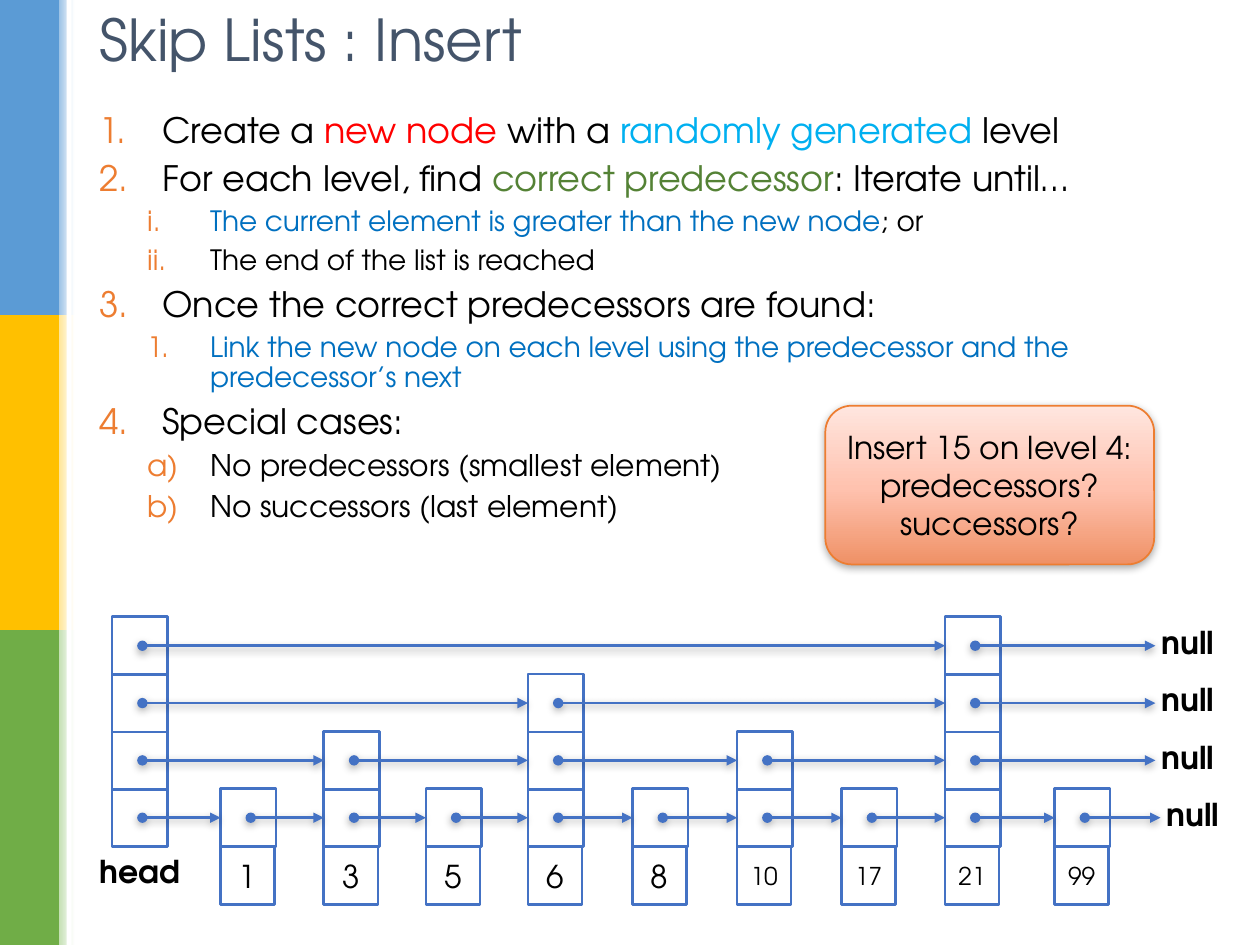
from dataclasses import dataclass

from lxml.etree import SubElement
from pptx import Presentation
from pptx.dml.color import RGBColor
from pptx.enum.shapes import MSO_CONNECTOR, MSO_SHAPE
from pptx.enum.text import MSO_ANCHOR, PP_ALIGN
from pptx.oxml.ns import qn
from pptx.util import Inches, Pt

FONT = "TeX Gyre Adventor"
HEX = {
    "black": "000000", "white": "FFFFFF", "slate": "44546A", "red": "FF0000",
    "sky": "00B0F0", "leaf": "548235", "blue": "0070C0", "line": "4472C4",
    "orange": "ED7D31", "pale": "DEEBF7",
}


@dataclass
class Band:
    top: float
    main: str
    fade: str


@dataclass
class Item:
    runs: list[tuple[str, str]]
    size: int
    style: str
    level: int = 0


@dataclass
class Node:
    key: str
    left: float
    rows: int


BANDS = [Band(5, "70AD47", "C5E0B4"), Band(2.5, "FFC000", "FFE699"), Band(0, "5B9BD5", "9DC3E6")]
ITEMS = [
    Item([("Create a ", "black"), ("new node", "red"), (" with a ", "black"),
          ("randomly generated", "sky"), (" level", "black")], 20, "arabicPeriod"),
    Item([("For each level, find ", "black"), ("correct predecessor", "leaf"),
          (": Iterate until…", "black")], 20, "arabicPeriod"),
    Item([("The current element is greater than the new node", "blue"), ("; or", "black")],
         16, "romanLcPeriod", 1),
    Item([("The end of the list is reached", "black")], 16, "romanLcPeriod", 1),
    Item([("Once the correct predecessors are found:", "black")], 20, "arabicPeriod"),
    Item([("Link the new node on each level using the predecessor and the predecessor’s next",
           "blue")], 16, "arabicPeriod", 1),
    Item([("Special cases:", "black")], 20, "arabicPeriod"),
    Item([("No predecessors (smallest element)", "black")], 17, "alphaLcParenR", 1),
    Item([("No successors (last element)", "black")], 17, "alphaLcParenR", 1),
]
HEAD = Node("head", 0.89, 4)
NODES = [
    Node("1", 1.75, 1), Node("3", 2.57, 2), Node("5", 3.38, 1),
    Node("6", 4.19, 3), Node("8", 5.02, 1), Node("10", 5.85, 2),
    Node("17", 6.68, 1), Node("21", 7.5, 4), Node("99", 8.37, 1),
]
WIDE, HIGH, STEP, BASE = 0.44, 0.46, 0.455, 6.26
DOT = 0.24


def paint(run, size: int, color: str, bold: bool = False) -> None:
    run.font.name = FONT
    run.font.size = Pt(size)
    run.font.bold = bold
    run.font.color.rgb = RGBColor.from_string(HEX[color])


def add_box(slide, area: tuple, fill: str, line: str | None = None,
            kind=MSO_SHAPE.RECTANGLE, width: float = 1.5):
    box = slide.shapes.add_shape(kind, *map(Inches, area))
    box.shadow.inherit = False
    box.fill.solid()
    box.fill.fore_color.rgb = RGBColor.from_string(fill)
    if line:
        box.line.color.rgb = RGBColor.from_string(line)
        box.line.width = Pt(width)
    else:
        box.line.fill.background()
    return box


def blend(box, stops: list[tuple[int, str]], angle: int) -> None:
    box.fill.gradient()
    box.fill.gradient_angle = angle
    group = box.element.spPr.find(qn("a:gradFill")).find(qn("a:gsLst"))
    for old in list(group):
        group.remove(old)
    for place, color in stops:
        stop = SubElement(group, qn("a:gs"), pos=str(place * 1000))
        SubElement(stop, qn("a:srgbClr"), val=color)


def add_shade(effects) -> None:
    shade = SubElement(effects, qn("a:outerShdw"), blurRad="57150", dist="19050",
                       dir="5400000", algn="ctr", rotWithShape="0")
    color = SubElement(shade, qn("a:srgbClr"), val=HEX["black"])
    SubElement(color, qn("a:alpha"), val="32000")


def add_text(slide, area: tuple, wrap: bool = True):
    frame = slide.shapes.add_textbox(*map(Inches, area)).text_frame
    frame.word_wrap = wrap
    return frame


def center(box, text: str, size: int) -> None:
    frame = box.text_frame
    frame.word_wrap = True
    frame.vertical_anchor = MSO_ANCHOR.MIDDLE
    frame.text = text
    for para in frame.paragraphs:
        para.alignment = PP_ALIGN.CENTER
        paint(para.runs[0], size, "black")


def add_label(slide, text: str, left: float, top: float, width: float) -> None:
    frame = add_text(slide, (left, top, width, 0.4), False)
    frame.text = text
    run = frame.paragraphs[0].runs[0]
    paint(run, 18, "black", True)
    props = run.font._element
    edge = SubElement(props, qn("a:ln"), w=str(Pt(0.75)))
    SubElement(SubElement(edge, qn("a:solidFill")), qn("a:srgbClr"), val=HEX["pale"])
    props.insert(0, edge)


def add_arrow(slide, start: float, end: float, y: float, goal=None) -> None:
    arrow = slide.shapes.add_connector(
        MSO_CONNECTOR.STRAIGHT, Inches(start), Inches(y), Inches(end), Inches(y))
    if goal is not None:
        arrow.end_connect(goal, 1)
    arrow.line.color.rgb = RGBColor.from_string(HEX["line"])
    arrow.line.width = Pt(1.5)
    props = arrow.element.spPr
    line = props.find(qn("a:ln"))
    SubElement(line, qn("a:headEnd"), type="oval")
    SubElement(line, qn("a:tailEnd"), type="triangle")
    add_shade(SubElement(props, qn("a:effectLst")))


def add_item(para, item: Item) -> None:
    para.level = item.level
    para.line_spacing = 0.9
    para.space_before = Pt(item.size * 0.3)
    for text, color in item.runs:
        run = para.add_run()
        run.text = text
        paint(run, item.size, color)
    props = para._p.get_or_add_pPr()
    props.set("marL", str(Inches(0.88 if item.level else 0.5)))
    props.set("indent", str(Inches(-0.5)))
    SubElement(SubElement(props, qn("a:buClr")), qn("a:srgbClr"), val=HEX["orange"])
    SubElement(props, qn("a:buFont"), typeface="+mj-lt")
    SubElement(props, qn("a:buAutoNum"), type=item.style)


def add_row(slide, row: int) -> None:
    top = BASE - STEP * row
    chain = [node for node in [HEAD, *NODES] if node.rows > row]
    cells = [add_box(slide, (node.left, top, WIDE, HIGH), HEX["white"], HEX["line"])
             for node in chain]
    null = 9.12 if row else 9.16
    y = top + HIGH / 2
    for node, after, goal in zip(chain, chain[1:], cells[1:]):
        add_arrow(slide, node.left + DOT, after.left, y, goal)
    add_arrow(slide, chain[-1].left + DOT, null + 0.05, y)
    add_label(slide, "null", null, top, 0.63)


def main() -> None:
    deck = Presentation()
    deck.slide_width, deck.slide_height = Inches(10), Inches(7.5)
    slide = deck.slides.add_slide(deck.slide_layouts[6])

    for band in BANDS:
        add_box(slide, (0, band.top, 0.47, 2.5), band.main)
        strip = add_box(slide, (0.47, band.top, 0.12, 2.5), band.fade)
        blend(strip, [(0, band.fade), (100, HEX["white"])], 0)
    add_box(slide, (0.53, 0, 0.04, 7.5), HEX["white"])

    title = add_text(slide, (0.69, 0, 8.62, 0.68))
    title.vertical_anchor = MSO_ANCHOR.MIDDLE
    title.text = "Skip Lists : Insert"
    title.paragraphs[0].line_spacing = 0.9
    paint(title.paragraphs[0].runs[0], 33, "slate")

    body = add_text(slide, (0.69, 0.85, 8.62, 5.37))
    for count, item in enumerate(ITEMS):
        add_item(body.add_paragraph() if count else body.paragraphs[0], item)

    for node in NODES:
        box = add_box(slide, (node.left, BASE + HIGH, 0.43, HIGH), HEX["white"], HEX["line"])
        center(box, node.key, 18 if len(node.key) == 1 else 14)
    for row in range(HEAD.rows):
        add_row(slide, row)
    add_label(slide, HEAD.key, 0.69, 6.71, 0.87)

    note = add_box(slide, (6.55, 3.22, 2.61, 1.26), HEX["white"], HEX["orange"],
                   MSO_SHAPE.ROUNDED_RECTANGLE, 1)
    blend(note, [(0, "EF9166"), (48, "FFC2AF"), (100, "FFE6DF")], 90)
    add_shade(note.element.spPr.find(qn("a:effectLst")))
    center(note, "Insert 15 on level 4:\npredecessors?\nsuccessors?", 18)

    deck.save("out.pptx")


if __name__ == "__main__":
    main()
